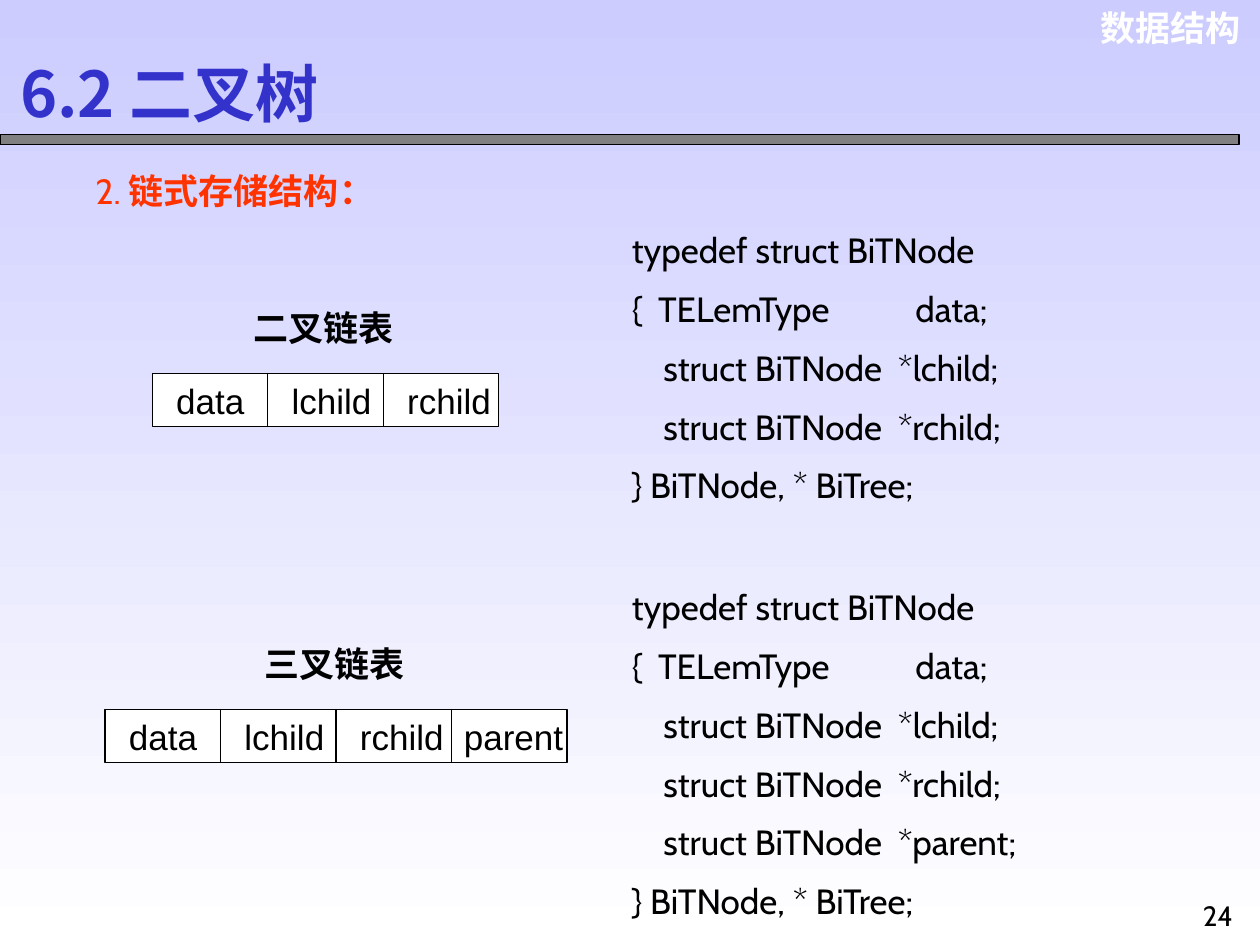
from dataclasses import dataclass

from lxml import etree
from pptx import Presentation, util as u
from pptx.dml.color import RGBColor
from pptx.enum import shapes, text
from pptx.oxml import ns

COLORS = {
    "sky": "CCCCFF",
    "white": "FFFFFF",
    "gray": "808080",
    "black": "000000",
    "red": "FF3300",
    "blue": "3333CC",
}
COLUMNS, ROWS = 120, 90
CELL_WIDTH, CELL_HEIGHT = 11, 5
LABEL_HEIGHT = 5.3
FIELD_WIDTHS = {"data": 8.9, "lchild": 10, "rchild": 10.5, "parent": 12}

presentation = Presentation()
presentation.slide_width = u.Inches(10)
presentation.slide_height = u.Inches(7.5)
slide = presentation.slides.add_slide(presentation.slide_layouts[6])


@dataclass
class Label:
    lines: list[str]
    column: float
    row: float
    width: float
    height: float = LABEL_HEIGHT
    size: float = 20
    font: str = "Arial"
    color: str = "black"
    bold: bool = False
    align: text.PP_ALIGN = text.PP_ALIGN.LEFT
    anchor: text.MSO_ANCHOR = text.MSO_ANCHOR.TOP
    wrap: bool = True
    spacing: float = 1.0


@dataclass
class LinkedList:
    title: str
    title_column: float
    column: float
    row: float
    fields: list[str]
    code_row: float

    @property
    def code(self) -> list[str]:
        pointers = [f"    struct BiTNode  *{field};" for field in self.fields[1:]]
        return ["typedef struct BiTNode", "{  TELemType  \t    data;", *pointers, "} BiTNode, * BiTree;"]


def across(columns: float) -> int:
    return round(presentation.slide_width * columns / COLUMNS)


def down(rows: float) -> int:
    return round(presentation.slide_height * rows / ROWS)


def color(name: str) -> RGBColor:
    return RGBColor.from_string(COLORS[name])


def draw_label(label: Label):
    shape = slide.shapes.add_textbox(
        across(label.column), down(label.row), across(label.width), down(label.height)
    )
    frame = shape.text_frame
    frame.word_wrap = label.wrap
    if not label.wrap:
        frame.auto_size = text.MSO_AUTO_SIZE.SHAPE_TO_FIT_TEXT
    frame.vertical_anchor = label.anchor
    frame.text = "\n".join(label.lines)
    for paragraph in frame.paragraphs:
        paragraph.alignment = label.align
        paragraph.line_spacing = label.spacing
        paragraph.font.size = u.Pt(label.size)
        paragraph.font.name = label.font
        paragraph.font.bold = label.bold
        paragraph.font.color.rgb = color(label.color)
    return frame


def draw_box(column: float, row: float, width: float, height: float, fill: str):
    shape = slide.shapes.add_shape(
        shapes.MSO_SHAPE.RECTANGLE, across(column), down(row), across(width), down(height)
    )
    shape.shadow.inherit = False
    shape.fill.solid()
    shape.fill.fore_color.rgb = color(fill)
    shape.line.color.rgb = color("black")
    shape.line.width = u.Pt(0.75)
    return shape


def draw_divider(column: float, row: float):
    connector = slide.shapes.add_connector(
        shapes.MSO_CONNECTOR.STRAIGHT,
        across(column), down(row), across(column), down(row + CELL_HEIGHT),
    )
    connector.line.color.rgb = color("black")
    connector.line.width = u.Pt(0.75)
    etree.SubElement(connector._element.spPr, ns.qn("a:effectLst"))
    return connector


def draw_linked_list(linked: LinkedList) -> None:
    count = len(linked.fields)
    draw_label(Label(linked.code, 59, linked.code_row, 47, 5.7 * (count + 3) - 5,
                     font="Cabin", spacing=1.4))
    draw_label(Label([linked.title], linked.title_column, linked.row - 7, 17, bold=True))
    box = draw_box(linked.column, linked.row, count * CELL_WIDTH, CELL_HEIGHT, "white")
    for index, field in enumerate(linked.fields):
        left = linked.column + index * CELL_WIDTH
        if index:
            divider = draw_divider(left, linked.row)
            if index * 2 == count:
                divider.begin_connect(box, 0)
                divider.end_connect(box, 2)
        inset = min(1.1, CELL_WIDTH + 1 - FIELD_WIDTHS[field])
        draw_label(Label([field], left + inset, linked.row, FIELD_WIDTHS[field], wrap=False))


def draw_background() -> None:
    fill = slide.background.fill
    fill.gradient()
    fill.gradient_angle = 270
    for stop, name in zip(fill.gradient_stops, ("sky", "white")):
        stop.color.rgb = color(name)


def draw_heading() -> None:
    frame = draw_label(Label(["2. "], 7.9, 15.6, 30.2, font="Cabin", color="red", wrap=False))
    run = frame.paragraphs[0].add_run()
    run.text = "链式存储结构："
    run.font.name = "Arial"
    run.font.bold = True


def main() -> None:
    draw_background()
    draw_label(Label(["数据结构"], 102.8, 0, 16.5, color="white", bold=True,
                     align=text.PP_ALIGN.RIGHT))
    draw_box(0, 12.8, 118, 1, "gray")
    draw_label(Label(["6.2 二叉树"], 0.75, 5.4, 38.4, 6.8, size=36, font="Noto Sans CJK SC",
                     color="blue", bold=True, anchor=text.MSO_ANCHOR.MIDDLE))
    draw_heading()
    for linked in (
        LinkedList("二叉链表", 23, 14.5, 35.6, ["data", "lchild", "rchild"], 19.6),
        LinkedList("三叉链表", 24, 10, 67.6, ["data", "lchild", "rchild", "parent"], 53.6),
    ):
        draw_linked_list(linked)
    draw_label(Label(["24"], 113, 85, 6, 5, size=16, font="Cabin", align=text.PP_ALIGN.CENTER))
    presentation.save("out.pptx")


if __name__ == "__main__":
    main()
